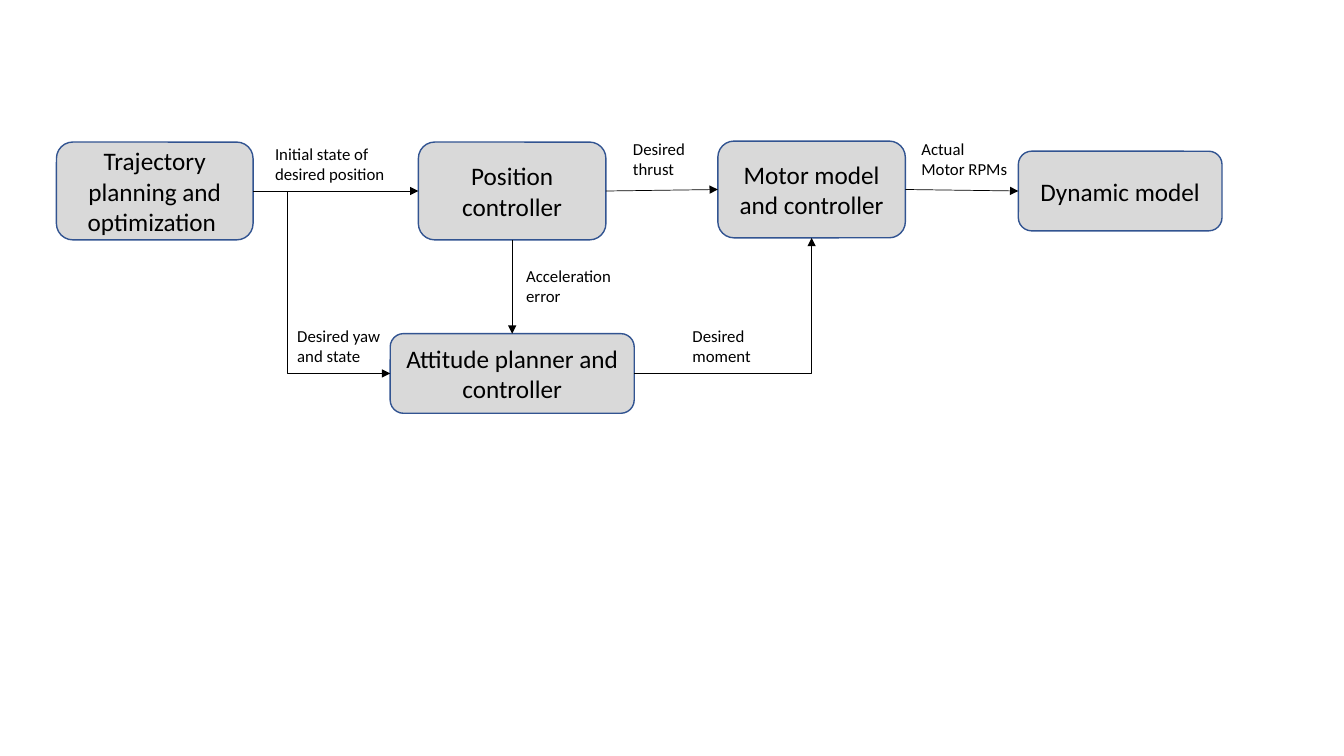
import pptx
import pptx.util
import pptx.dml.color
import pptx.enum.shapes
import pptx.enum.text
import pptx.oxml
import pptx.oxml.ns

Inches, Pt = pptx.util.Inches, pptx.util.Pt
MSO = pptx.enum.shapes.MSO_SHAPE
CONNECTOR = pptx.enum.shapes.MSO_CONNECTOR
TEXT = pptx.enum.text

# Content: blocks and labels as text, left, top, width, height
BLOCKS = {
    "trajectory": ("Trajectory planning and optimization ", 0.56, 1.41, 1.95, 0.97),
    "position": ("Position controller", 4.15, 1.41, 1.86, 0.97),
    "motor": ("Motor model and controller", 7.12, 1.4, 1.86, 0.96),
    "dynamic": ("Dynamic model", 10.1, 1.5, 2.02, 0.79),
    "attitude": ("Attitude planner and controller", 3.87, 3.31, 2.42, 0.79),
}
LABELS = [
    ("Initial state of desired position", 2.63, 1.38, 1.64, 0.5),
    ("Desired thrust", 6.18, 1.33, 1.06, 0.5),
    ("Actual Motor RPMs", 9.04, 1.33, 1.06, 0.5),
    ("Desired yaw and state", 2.85, 3.18, 1.13, 0.5),
    ("Acceleration error", 5.12, 2.59, 1.13, 0.5),
    ("Desired moment", 6.77, 3.18, 1.06, 0.5),
]
# Connection sites of a rounded rectangle
TOP, LEFT, BOTTOM, RIGHT = range(4)
LINKS = [
    ("trajectory", RIGHT, "position", LEFT),
    ("position", RIGHT, "motor", LEFT),
    ("motor", RIGHT, "dynamic", LEFT),
    ("position", BOTTOM, "attitude", TOP),
    ("attitude", RIGHT, "motor", BOTTOM),
]
YAW_BRANCH_X = 2.85


def color(hex_string):
    return pptx.dml.color.RGBColor.from_string(hex_string)


def write(s, text, size, align):
    tf = s.text_frame
    tf.word_wrap = True
    p = tf.paragraphs[0]
    p.alignment = align
    r = p.add_run()
    r.text = text
    r.font.name, r.font.size = "Calibri", Pt(size)
    r.font.color.rgb = color("000000")
    return tf


def site_point(name, site):
    _, x, y, w, h = BLOCKS[name]
    return [(x + w / 2, y), (x, y + h / 2), (x + w / 2, y + h), (x + w, y + h / 2)][site]


def add_arrow(start, end, bent=False):
    kind = CONNECTOR.ELBOW if bent else CONNECTOR.STRAIGHT
    c = slide.shapes.add_connector(kind, *map(Inches, start + end))
    c.line.color.rgb, c.line.width = color("000000"), Pt(0.5)
    sp_pr = c._element.spPr
    if bent:
        sp_pr.find(pptx.oxml.ns.qn("a:prstGeom")).set("prst", "bentConnector2")
    ns = pptx.oxml.ns.nsdecls("a")
    c.line._get_or_add_ln().append(pptx.oxml.parse_xml(f'<a:tailEnd {ns} type="triangle"/>'))
    sp_pr.append(pptx.oxml.parse_xml(f"<a:effectLst {ns}/>"))
    return c


prs = pptx.Presentation()
prs.slide_width, prs.slide_height = Inches(13.33), Inches(7.5)
slide = prs.slides.add_slide(prs.slide_layouts[6])

# Blocks
shapes = {}
for name, (text, *box) in BLOCKS.items():
    s = slide.shapes.add_shape(MSO.ROUNDED_RECTANGLE, *map(Inches, box))
    s.shadow.inherit = False
    s.fill.solid()
    s.fill.fore_color.rgb = color("D9D9D9")
    s.line.color.rgb, s.line.width = color("325491"), Pt(1)
    tf = write(s, text, 18, TEXT.PP_ALIGN.CENTER)
    tf.vertical_anchor = TEXT.MSO_ANCHOR.MIDDLE
    shapes[name] = s

# Arrows between blocks; one that turns a corner leaves sideways and ends vertically
for source, out_site, target, in_site in LINKS:
    bent = (out_site - in_site) % 2 == 1
    c = add_arrow(site_point(source, out_site), site_point(target, in_site), bent)
    c.begin_connect(shapes[source], out_site)
    c.end_connect(shapes[target], in_site)

# Yaw branch runs down, then right: an elbow turned by 270 degrees about its centre
x1, y1 = YAW_BRANCH_X, site_point("trajectory", RIGHT)[1]
x2, y2 = site_point("attitude", LEFT)
cx, cy, dx, dy = (x1 + x2) / 2, (y1 + y2) / 2, (x2 - x1) / 2, (y2 - y1) / 2
branch = add_arrow((cx + dy, cy - dx), (cx - dy, cy + dx), True)
branch._element.spPr.find(pptx.oxml.ns.qn("a:xfrm")).set("rot", str(270 * 60000))

# Signal labels
for text, *box in LABELS:
    s = slide.shapes.add_textbox(*map(Inches, box))
    tf = write(s, text, 12, TEXT.PP_ALIGN.LEFT)
    tf.auto_size = TEXT.MSO_AUTO_SIZE.SHAPE_TO_FIT_TEXT

prs.save("out.pptx")
